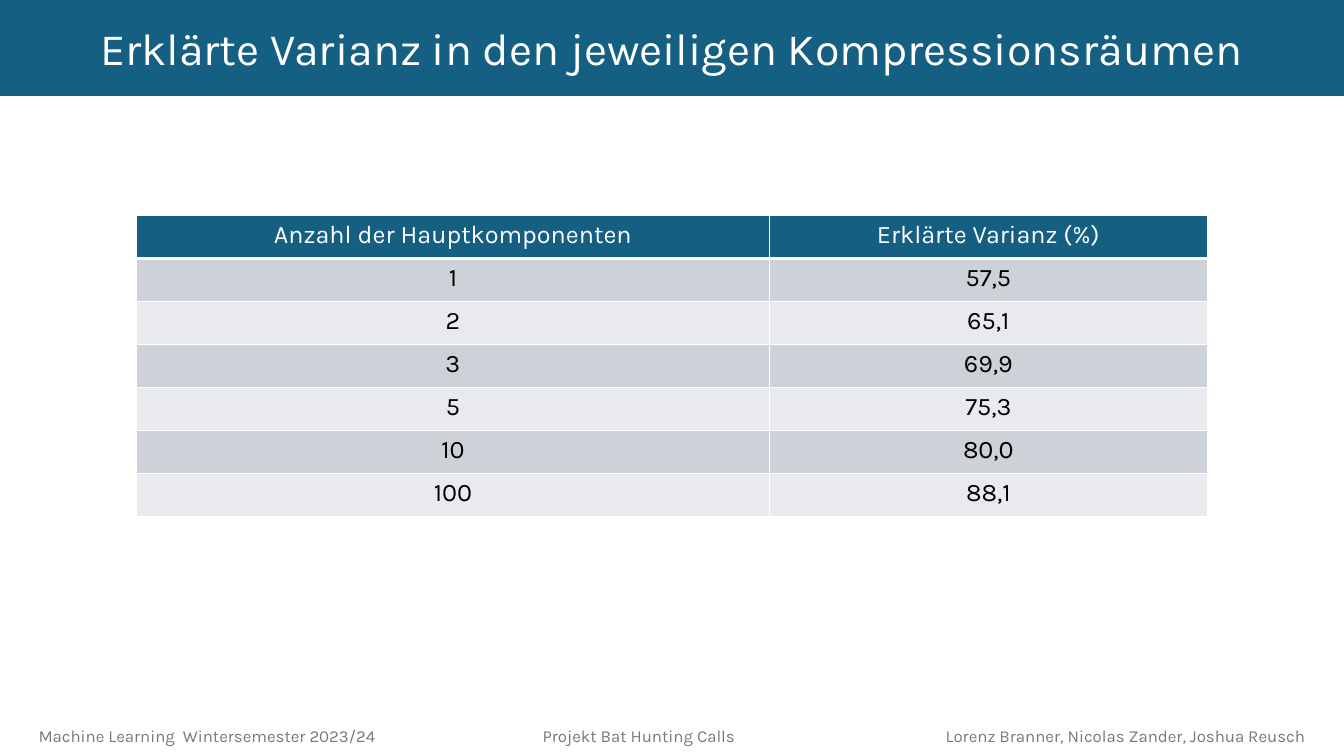
from lxml import etree
from pptx import Presentation
from pptx.dml.color import RGBColor
from pptx.enum import shapes, text
from pptx.oxml import ns
from pptx.util import Pt

TITLE = "Erklärte Varianz in den jeweiligen Kompressionsräumen"
FOOTER = ("Machine Learning  Wintersemester 2023/24\t\tProjekt Bat Hunting Calls"
          "\t\t\tLorenz Branner, Nicolas Zander, Joshua Reusch")
ROWS = [
    ("Anzahl der Hauptkomponenten", "Erklärte Varianz (%)"),
    ("1", "57,5"),
    ("2", "65,1"),
    ("3", "69,9"),
    ("5", "75,3"),
    ("10", "80,0"),
    ("100", "88,1"),
]

FONT = "Karla"
BLUE = RGBColor(0x15, 0x60, 0x82)
WHITE = RGBColor(0xFF, 0xFF, 0xFF)
BLACK = RGBColor(0, 0, 0)
GREY = RGBColor(0x79, 0x79, 0x79)
BANDS = [RGBColor(0xE8, 0xEA, 0xED), RGBColor(0xCC, 0xD2, 0xD8)]

WIDTH, HEIGHT = 960, 540
TITLE_HEIGHT = 68.5
FOOTER_HEIGHT = 28.8
TABLE_LEFT, TABLE_TOP = 97.5, 154
COLUMN_WIDTHS = [452, 313]
ROW_HEIGHT = 30.74
TAB_STEP = 72


def write(frame, content, size, color):
    para = frame.paragraphs[0]
    para.alignment = text.PP_ALIGN.CENTER
    span = para.add_run()
    span.text = content
    span.font.name = FONT
    span.font.size = Pt(size)
    span.font.color.rgb = color
    return para


def set_borders(cell, widths):
    """Draw white borders; widths are in points for left, right, top, bottom."""
    properties = cell._tc.get_or_add_tcPr()
    for index, (side, width) in enumerate(zip("LRTB", widths)):
        line = etree.Element(ns.qn(f"a:ln{side}"), w=str(Pt(width)))
        fill = etree.SubElement(line, ns.qn("a:solidFill"))
        etree.SubElement(fill, ns.qn("a:srgbClr"), val=str(WHITE))
        properties.insert(index, line)


def add_footer(page):
    box = page.shapes.add_textbox(
        0, Pt(HEIGHT - FOOTER_HEIGHT), Pt(WIDTH), Pt(FOOTER_HEIGHT))
    frame = box.text_frame
    frame.word_wrap = True
    frame.vertical_anchor = text.MSO_ANCHOR.MIDDLE
    para = write(frame, FOOTER, 12, GREY)
    stops = etree.SubElement(para._p.get_or_add_pPr(), ns.qn("a:tabLst"))
    for number in range(1, 10):
        etree.SubElement(stops, ns.qn("a:tab"),
                         pos=str(Pt(number * TAB_STEP)), algn="l")


def add_title(page):
    bar = page.shapes.add_shape(
        shapes.MSO_SHAPE.RECTANGLE, 0, 0, Pt(WIDTH), Pt(TITLE_HEIGHT))
    bar.shadow.inherit = False
    bar.fill.solid()
    bar.fill.fore_color.rgb = BLUE
    bar.line.fill.background()
    bar.text_frame.vertical_anchor = text.MSO_ANCHOR.MIDDLE
    write(bar.text_frame, TITLE, 32, WHITE)


def add_variance_table(page):
    table = page.shapes.add_table(
        len(ROWS), len(COLUMN_WIDTHS), Pt(TABLE_LEFT), Pt(TABLE_TOP),
        Pt(sum(COLUMN_WIDTHS)), Pt(ROW_HEIGHT * len(ROWS))).table
    table.first_row = False
    table.horz_banding = False
    for column, width in zip(table.columns, COLUMN_WIDTHS):
        column.width = Pt(width)
    for r, values in enumerate(ROWS):
        table.rows[r].height = Pt(ROW_HEIGHT)
        header = r == 0
        for c, value in enumerate(values):
            cell = table.cell(r, c)
            cell.fill.solid()
            cell.fill.fore_color.rgb = BLUE if header else BANDS[r % 2]
            set_borders(cell, (1, 1, 1, 3 if header else 1))
            write(cell.text_frame, value, 18, WHITE if header else BLACK)


def main():
    deck = Presentation()
    deck.slide_width, deck.slide_height = Pt(WIDTH), Pt(HEIGHT)
    page = deck.slides.add_slide(deck.slide_layouts[6])
    add_footer(page)
    add_title(page)
    add_variance_table(page)
    deck.save("out.pptx")


if __name__ == "__main__":
    main()
